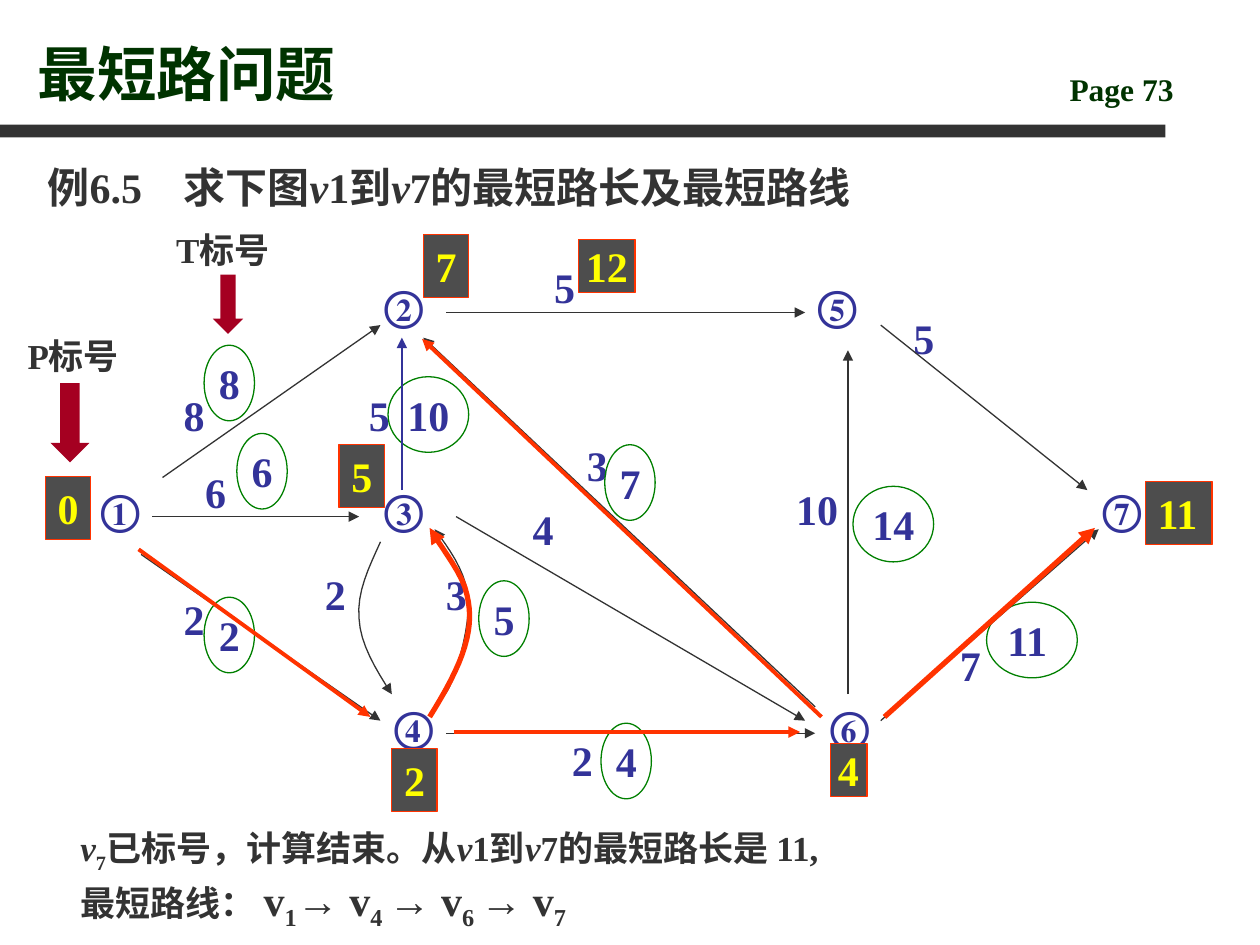
from lxml import etree
from pptx import Presentation, util as u
from pptx.dml.color import RGBColor
from pptx.enum import shapes, text
from pptx.oxml.ns import qn


class Theme:
    font = "Times New Roman"
    dark, title, node = "333333", "003300", "333399"
    badge, badge_text, route = "4D4D4D", "FFFF00", "FF3300"
    oval, pointer = "008000", "A50021"
    title_size, big, medium, page = 34, 24, 20, 18
    thin, bold, heavy = 0.75, 2.25, 3


PX = u.Inches(0.01)
LOOSE, TIGHT = (10, 5), (6, 1)


def write(sp, paras, color, pad=LOOSE, wrap=False, tab=None):
    tf = sp.text_frame
    tf.word_wrap = wrap
    tf.auto_size = text.MSO_AUTO_SIZE.NONE
    tf.vertical_anchor = text.MSO_ANCHOR.TOP
    tf.margin_left = tf.margin_right = pad[0] * PX
    tf.margin_top = tf.margin_bottom = pad[1] * PX
    for n, (size, runs) in enumerate(paras):
        p = tf.add_paragraph() if n else tf.paragraphs[0]
        p.alignment = text.PP_ALIGN.LEFT
        if tab:
            tabs = etree.SubElement(p._p.get_or_add_pPr(), qn("a:tabLst"))
            etree.SubElement(tabs, qn("a:tab"), pos=str(tab * PX), algn="l")
        p.font.name, p.font.size, p.font.bold = Theme.font, u.Pt(size), True
        p.font.color.rgb = RGBColor.from_string(color)
        for words, style in runs:
            r = p.add_run()
            r.text = words
            if style == "italic":
                r.font.italic = True
            elif style == "sub":
                r._r.get_or_add_rPr().set("baseline", "-25000")
            elif style:
                r.font.size = u.Pt(style)


def draw_arrow(sp, color, width):
    sp.line.color.rgb = RGBColor.from_string(color)
    sp.line.width = u.Pt(width)
    etree.SubElement(sp.line._get_or_add_ln(), qn("a:tailEnd"), type="triangle")
    etree.SubElement(sp._element.spPr, qn("a:effectLst"))


prs = Presentation()
prs.slide_width, prs.slide_height = 1000 * PX, 750 * PX
s = prs.slides.add_slide(prs.slide_layouts[5])

title = s.shapes.title
title.left, title.top, title.width, title.height = 20 * PX, 13 * PX, 803 * PX, 78 * PX
write(title, [(Theme.title_size, [("最短路问题", None)])], Theme.title, wrap=True)
title.text_frame.vertical_anchor = text.MSO_ANCHOR.BOTTOM

bar = s.shapes.add_shape(shapes.MSO_SHAPE.RECTANGLE, 0, 99 * PX, 925 * PX, 10 * PX)
bar.shadow.inherit = False
bar.fill.solid()
bar.fill.fore_color.rgb = RGBColor.from_string(Theme.dark)
bar.line.fill.background()

page = s.shapes.add_textbox(839 * PX, 51 * PX, 142 * PX, 40 * PX)
write(page, [(Theme.page, [("Page 73", None)])], Theme.title, wrap=True)

task = s.shapes.add_textbox(28 * PX, 123 * PX, 890 * PX, 55 * PX)
write(task, [(Theme.big, [("例6.5\t求下图", None), ("v", "italic"), ("1到", None),
                          ("v", "italic"), ("7的最短路长及最短路线", None)])],
      Theme.dark, wrap=True, tab=108)

nodes = [("①", 70, 379), ("②", 295, 217), ("③", 295, 379), ("④", 303, 551),
         ("⑤", 639, 217), ("⑥", 649, 551), ("⑦", 865, 379)]
weights = [("8", 136, 304), ("6", 153, 365), ("2", 136, 466), ("5", 283, 304),
           ("2", 248, 446), ("3", 344, 446), ("5", 430, 203), ("3", 456, 344),
           ("4", 413, 395), ("2", 444, 578), ("10", 622, 379), ("5", 715, 243),
           ("7", 752, 503)]
for label, x, y in nodes + weights:
    width = 51 if (label, x, y) in nodes else 19 + 17 * len(label)
    sp = s.shapes.add_textbox(x * PX, y * PX, width * PX, 50 * PX)
    write(sp, [(Theme.big, [(label, None)])], Theme.node)

t_labels = [("8", 162, 274, 40), ("6", 188, 344, 40), ("2", 162, 474, 40),
            ("5", 380, 461, 40), ("4", 477, 574, 40), ("11", 783, 478, 72),
            ("14", 677, 386, 64), ("7", 480, 353, 40), ("10", 308, 299, 64)]
for label, x, y, width in t_labels:
    sp = s.shapes.add_shape(shapes.MSO_SHAPE.OVAL, x * PX, y * PX, width * PX, 60 * PX)
    sp.shadow.inherit = False
    sp.fill.background()
    sp.line.color.rgb = RGBColor.from_string(Theme.oval)
    sp.line.width = u.Pt(Theme.thin)
    write(sp, [(Theme.big, [(label, None)])], Theme.node, TIGHT, wrap=width == 72)

p_labels = [("0", 36, 378, 36, 50, LOOSE), ("2", 311, 594, 36, 50, LOOSE),
            ("4", 659, 590, 29, 42, TIGHT), ("5", 269, 353, 36, 50, LOOSE),
            ("7", 336, 186, 36, 50, LOOSE), ("12", 459, 190, 45, 42, TIGHT),
            ("11", 909, 382, 53, 50, LOOSE)]
for label, x, y, width, height, pad in p_labels:
    sp = s.shapes.add_shape(shapes.MSO_SHAPE.RECTANGLE, x * PX, y * PX, width * PX, height * PX)
    sp.shadow.inherit = False
    sp.fill.solid()
    sp.fill.fore_color.rgb = RGBColor.from_string(Theme.badge)
    sp.line.color.rgb = RGBColor.from_string(Theme.route)
    sp.line.width = u.Pt(Theme.thin)
    write(sp, [(Theme.big, [(label, None)])], Theme.badge_text, pad)

edges = [(129, 379, 302, 258), (121, 410, 285, 410), (112, 440, 302, 572),
         (354, 248, 639, 248), (647, 561, 336, 268), (362, 410, 639, 572),
         (354, 582, 647, 582), (673, 551, 673, 278), (699, 258, 863, 389),
         (699, 572, 872, 420)]
routes = [(110, 436, 294, 569), (360, 581, 635, 581), (652, 569, 335, 269)]
lines = [(edge, Theme.dark, Theme.thin) for edge in edges]
lines += [((319, 389, 319, 268), Theme.node, Theme.thin)]
lines += [(route, Theme.route, Theme.bold) for route in routes]
lines += [((702, 569, 869, 419), Theme.route, Theme.heavy)]
for ends, color, width in lines:
    sp = s.shapes.add_connector(shapes.MSO_CONNECTOR.STRAIGHT, *(v * PX for v in ends))
    draw_arrow(sp, color, width)

curves = [
    ([(302, 430), (293, 450), (283, 470), (285, 491), (286, 511), (298, 531), (311, 551)],
     Theme.dark, Theme.thin),
    ([(345, 561), (352, 554), (358, 546), (362, 531), (367, 516), (374, 489), (371, 470),
      (368, 452), (357, 436), (345, 420)], Theme.dark, Theme.thin),
    ([(341, 569), (353, 550), (364, 530), (369, 513), (374, 496), (374, 482), (369, 466),
      (364, 451), (345, 427), (341, 419)], Theme.route, Theme.heavy),
]
STEPS = 8
for controls, color, width in curves:
    points = []
    for start in range(0, len(controls) - 1, 3):
        for step in range(1, STEPS + 1):
            t = step / STEPS
            blend = ((1 - t) ** 3, 3 * t * (1 - t) ** 2, 3 * t ** 2 * (1 - t), t ** 3)
            section = controls[start:start + 4]
            points.append(tuple(PX * sum(b * c[axis] for b, c in zip(blend, section))
                                for axis in (0, 1)))
    builder = s.shapes.build_freeform(controls[0][0] * PX, controls[0][1] * PX)
    builder.add_line_segments(points, close=False)
    sp = builder.convert_to_shape()
    sp.fill.background()
    draw_arrow(sp, color, width)

path_runs = [("最短路线： ", Theme.medium), ("v", None), ("1", "sub"),
             ("→ v", None), ("4 ", "sub"), ("→ v", None), ("6 ", "sub"),
             ("→ v", None), ("7", "sub")]
answer = s.shapes.add_textbox(54 * PX, 651 * PX, 714 * PX, 94 * PX)
write(answer, [(Theme.medium, [("v", "italic"), ("7", "sub"), ("已标号，计算结束。从", None),
                               ("v", "italic"), ("1到", None), ("v", "italic"),
                               ("7的最短路长是 11,", None)]),
               (Theme.big, path_runs)], Theme.dark, wrap=True)

keys = [("P标号", (12, 254, 138, 50), (40, 304, 31, 63)),
        ("T标号", (130, 170, 110, 50), (169, 218, 24, 47))]
for label, box, pointer in keys:
    sp = s.shapes.add_shape(shapes.MSO_SHAPE.DOWN_ARROW, *(v * PX for v in pointer))
    sp.shadow.inherit = False
    sp.fill.solid()
    sp.fill.fore_color.rgb = RGBColor.from_string(Theme.pointer)
    sp.line.fill.background()
    sp = s.shapes.add_textbox(*(v * PX for v in box))
    write(sp, [(Theme.medium, [(label, None)])], Theme.dark, wrap=True)
    sp.text_frame.paragraphs[0].line_spacing = 1.2

prs.save("out.pptx")
